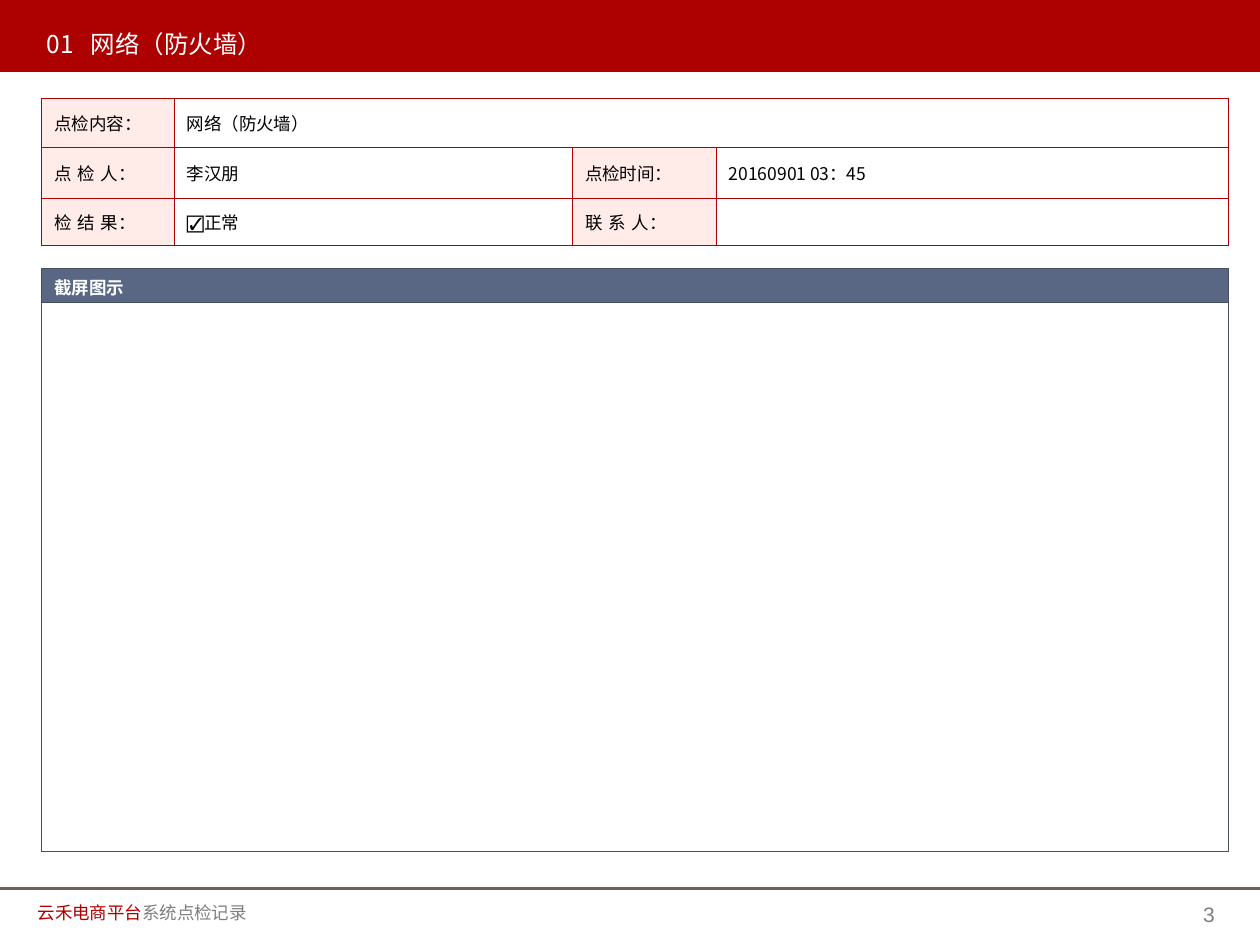
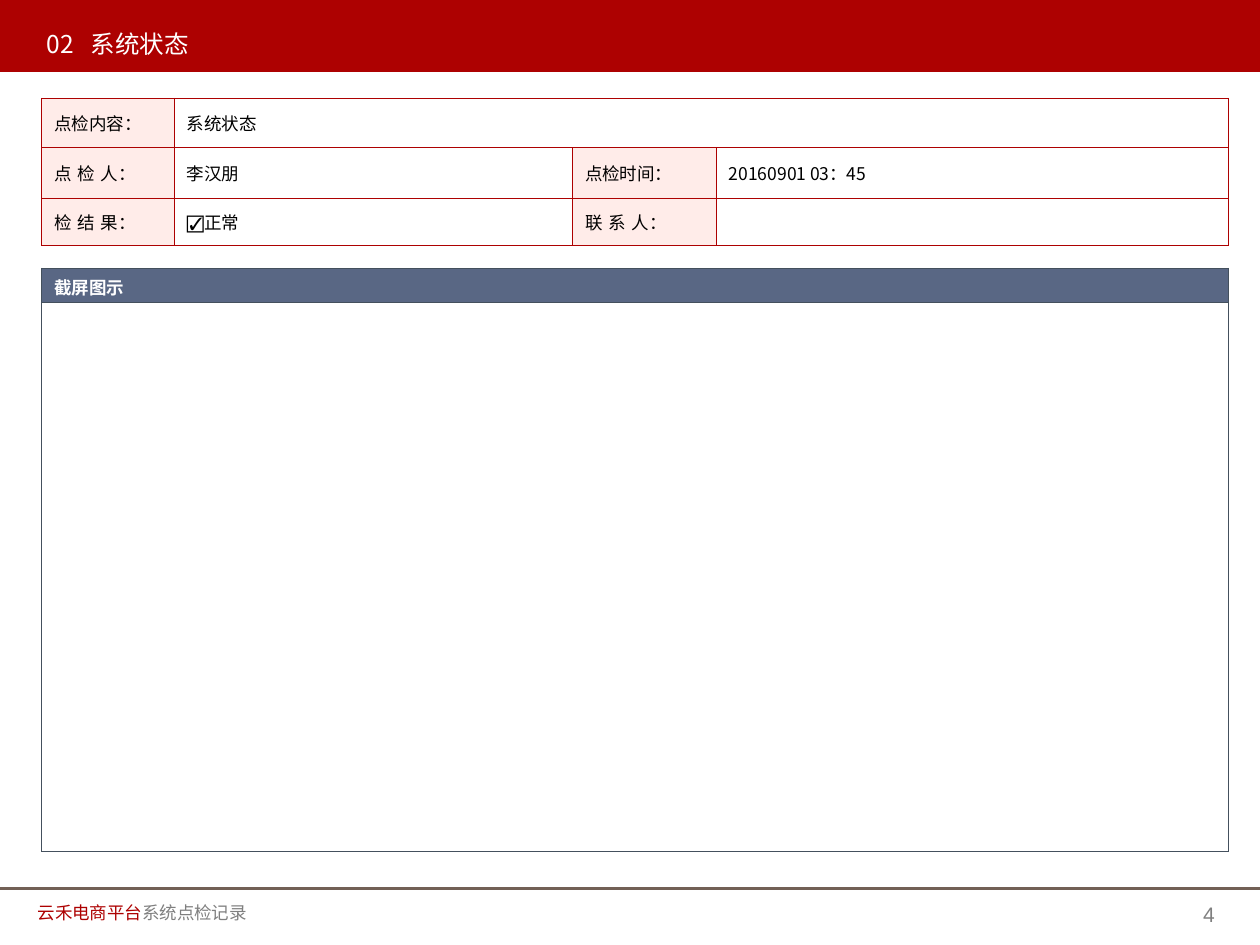
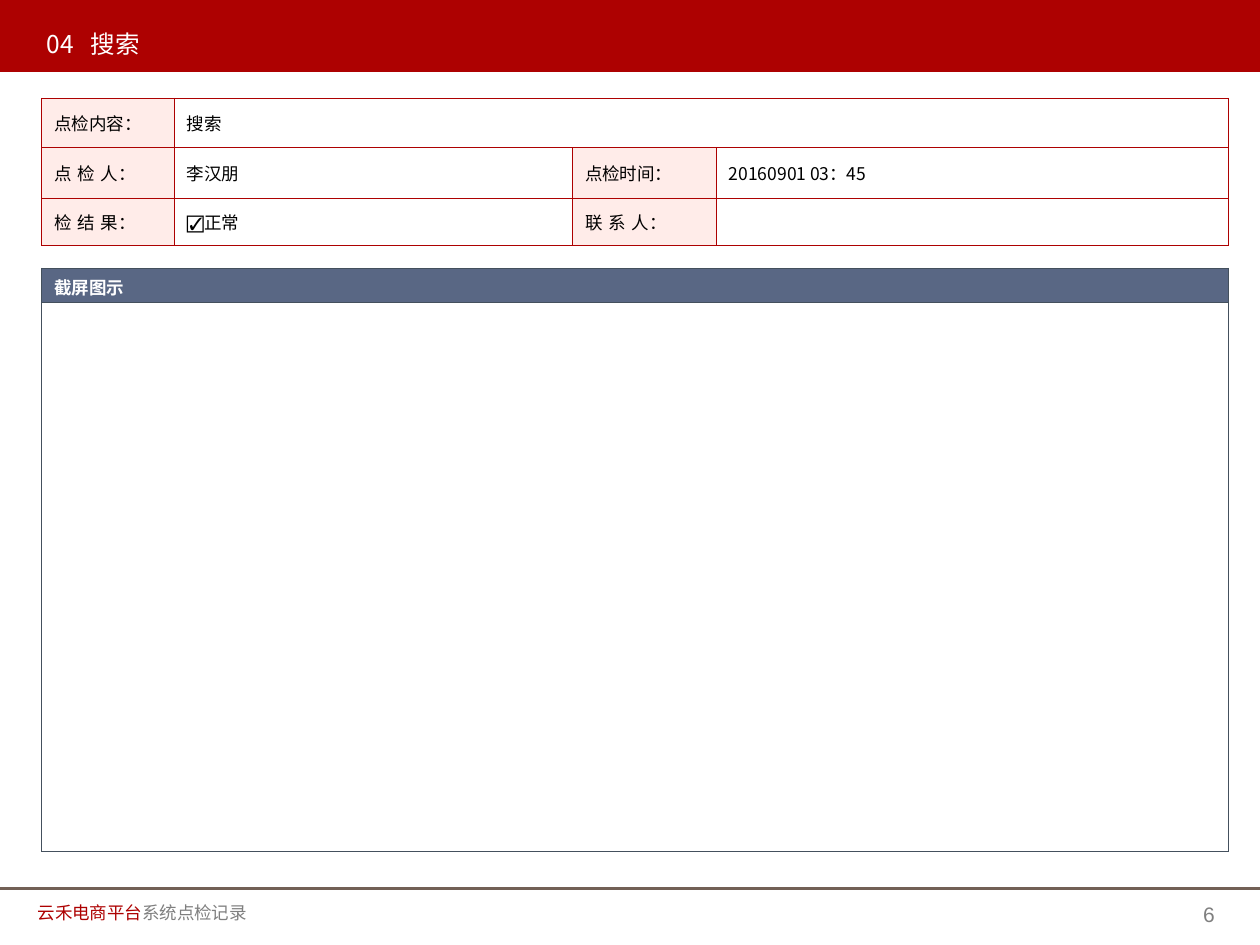
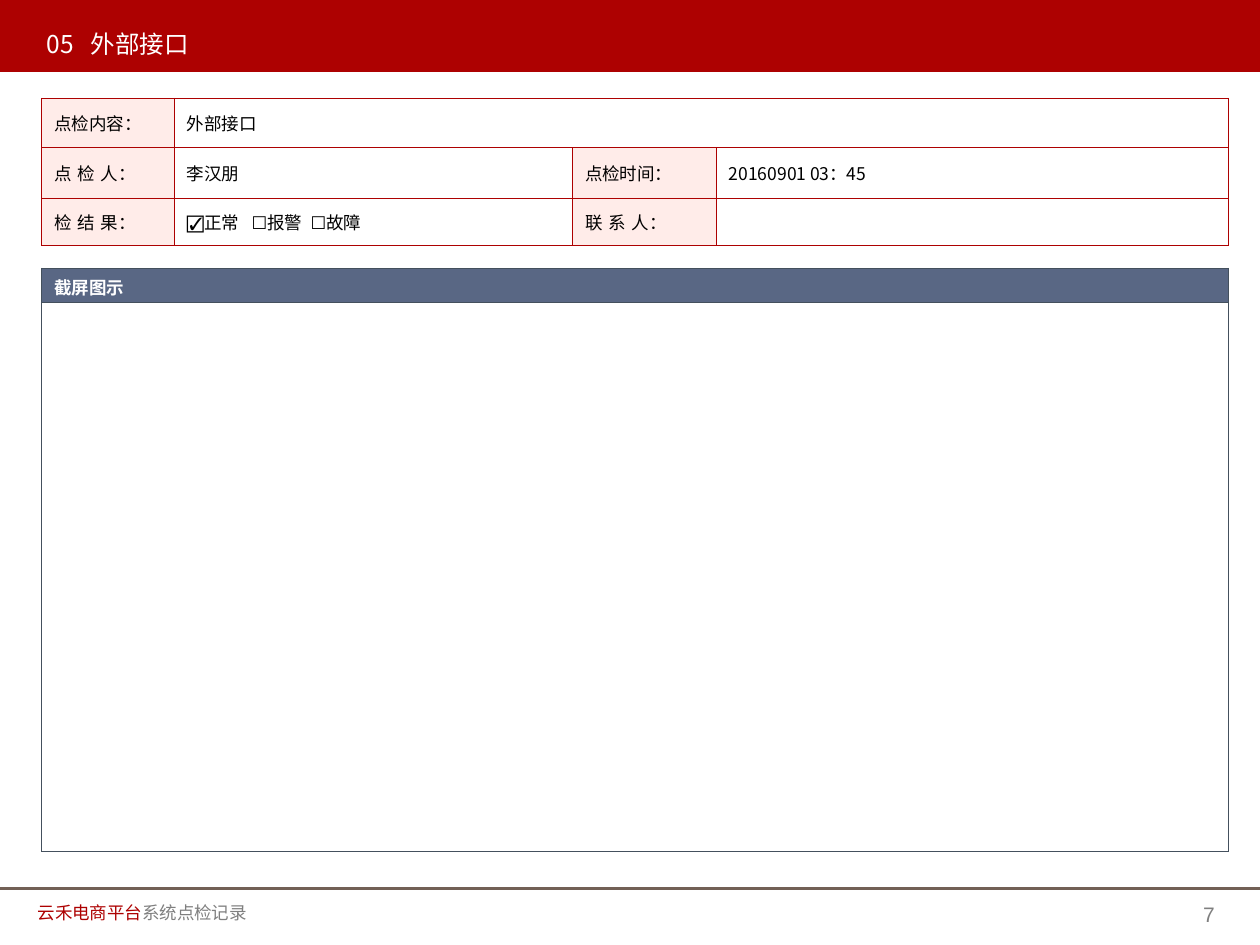
from lxml.etree import SubElement
from pptx import Presentation
from pptx.dml.color import RGBColor
from pptx.enum.shapes import MSO_CONNECTOR, MSO_SHAPE
from pptx.enum.text import MSO_ANCHOR, PP_ALIGN
from pptx.oxml import parse_xml
from pptx.oxml.ns import nsdecls, qn
from pptx.util import Cm, Pt

COLORS = {
    "red": "AD0101",
    "pink": "FFD1CB",
    "slate": "596784",
    "slate_border": "44505D",
    "rule": "726056",
    "gray": "7F7F7F",
    "white": "FFFFFF",
    "black": "000000",
}
FONT = "Noto Sans CJK SC"
NUMBER_FONT = "Arial"
SLIDE_WIDTH, SLIDE_HEIGHT = 25.4, 19.05
BAND_BOX = (0, 0, SLIDE_WIDTH, 1.45)
RECORD_BOX = (0.84, 1.98, 23.93, 2.97)
SCREENSHOT_BOX = (0.84, 5.41, 23.93, 11.75)
FOOTER_BOX = (0, 17.91, SLIDE_WIDTH, 1.14)

RECORD_COLUMNS = (2.67, 8.03, 2.9, 10.33)
RECORD_ROWS = (1, 1.01, 0.96)
LABEL_ALPHA = 41
TITLE_TAB = 0.89
OPTION_TABS = (1.31, 2.5)

# title number, checked item, result, page number
RECORDS = (
    ("01", "网络（防火墙）", "☑正常", "3"),
    ("02", "系统状态", "☑正常", "4"),
    ("04", "搜索", "☑正常", "6"),
    ("05", "外部接口", "☑正常\t☐报警\t☐故障", "7"),
)


def rgb(color):
    return RGBColor.from_string(COLORS[color])


def format_run(run, size, color, font=FONT, bold=False):
    run.font.size = Pt(size)
    run.font.bold = bold
    run.font.color.rgb = rgb(color)
    run.font.name = font
    SubElement(run.font._element, qn("a:ea"), typeface=font)


def set_tabs(paragraph, positions):
    """Add left tab stops, given in centimetres from the text edge."""
    tab_list = SubElement(paragraph._p.get_or_add_pPr(), qn("a:tabLst"))
    for position in positions:
        SubElement(tab_list, qn("a:tab"), pos=str(Cm(position)), algn="l")


def add_text(slide, box, pieces, size, font=FONT, wrap=True):
    """Add a one-line text box from (text, color) pieces; return the shape."""
    shape = slide.shapes.add_textbox(*map(Cm, box))
    shape.text_frame.word_wrap = wrap
    paragraph = shape.text_frame.paragraphs[0]
    for text, color in pieces:
        run = paragraph.add_run()
        run.text = text
        format_run(run, size, color, font)
    return shape


def add_plain_table(slide, box, columns, rows):
    """Add an unbanded table with the given column widths and row heights."""
    frame = slide.shapes.add_table(len(rows), len(columns), *map(Cm, box))
    table = frame.table
    table.first_row = table.horz_banding = False
    for column, width in zip(table.columns, columns):
        column.width = Cm(width)
    for row, height in zip(table.rows, rows):
        row.height = Cm(height)
    return table


def style_cell(cell, fill, border, border_width, text_color="black", bold=False):
    cell.fill.solid()
    cell.fill.fore_color.rgb = rgb(fill)
    properties = cell._tc.get_or_add_tcPr()
    for index, side in enumerate(("lnL", "lnR", "lnT", "lnB")):
        properties.insert(index, parse_xml(
            f'<a:{side} {nsdecls("a")} w="{Pt(border_width)}"><a:solidFill>'
            f'<a:srgbClr val="{COLORS[border]}"/></a:solidFill></a:{side}>'))
    paragraph = cell.text_frame.paragraphs[0]
    for run in paragraph.runs:
        format_run(run, 10, text_color, bold=bold)
    if not paragraph.runs:
        SubElement(paragraph._p, qn("a:endParaRPr"), sz="1000")


def add_title_band(slide, box, number, title):
    left, top, _, _ = box
    band = slide.shapes.add_shape(MSO_SHAPE.RECTANGLE, *map(Cm, box))
    band.shadow.inherit = False
    band.fill.solid()
    band.fill.fore_color.rgb = rgb("red")
    band.line.fill.background()
    heading = add_text(slide, (left + 0.69, top + 0.46, 5, 0.69),
                       [(f"{number}\t{title}", "white")], 14, wrap=False)
    set_tabs(heading.text_frame.paragraphs[0], [TITLE_TAB])


def add_record_table(slide, box, item, result):
    table = add_plain_table(slide, box, RECORD_COLUMNS, RECORD_ROWS)
    texts = (
        ("点检内容：", item, "", ""),
        ("点 检 人：", "李汉朋", "点检时间：", "20160901 03：45"),
        ("检 结 果：", result, "联 系 人：", ""),
    )
    table.cell(0, 1).merge(table.cell(0, 3))
    for row, row_texts in enumerate(texts):
        for column, text in enumerate(row_texts):
            cell = table.cell(row, column)
            cell.text_frame.text = text
            cell.vertical_anchor = MSO_ANCHOR.MIDDLE
            is_label = column % 2 == 0 and not cell.is_spanned
            style_cell(cell, "pink" if is_label else "white", "red", 0.5)
            if is_label:
                fill = cell._tc.tcPr.find(qn("a:solidFill"))
                SubElement(fill[0], qn("a:alpha"), val=str(LABEL_ALPHA * 1000))
            if is_label and " " in text:
                cell.text_frame.paragraphs[0].runs[0].font._element.set("spc", "50")
    if "\t" in result:
        set_tabs(table.cell(2, 1).text_frame.paragraphs[0], OPTION_TABS)


def add_screenshot_table(slide, box):
    _, _, width, height = box
    header_height = 0.69
    table = add_plain_table(slide, box, [width],
                            [header_height, height - header_height])
    header, body = table.cell(0, 0), table.cell(1, 0)
    header.text_frame.text = "截屏图示"
    header.margin_bottom = 0
    style_cell(header, "slate", "slate_border", 0.75, "white", bold=True)
    style_cell(body, "white", "slate_border", 0.75)


def add_footer(slide, box, page):
    left, top, width, _ = box
    rule = slide.shapes.add_connector(
        MSO_CONNECTOR.STRAIGHT, Cm(left), Cm(top), Cm(left + width), Cm(top))
    rule.line.color.rgb = rgb("rule")
    rule.line.width = Pt(1.25)
    SubElement(rule._element.spPr, qn("a:effectLst"))
    add_text(slide, (left + 0.51, top + 0.15, 4.83, 0.69),
             [("云禾电商平台", "red"), ("系统点检记录", "gray")], 10, wrap=False)
    number = add_text(slide, (left + width - 2.77, top, 2.11, 1.02),
                      [(page, "gray")], 12, NUMBER_FONT)
    number.text_frame.vertical_anchor = MSO_ANCHOR.MIDDLE
    number.text_frame.paragraphs[0].alignment = PP_ALIGN.RIGHT


def add_record_slide(presentation, number, item, result, page):
    slide = presentation.slides.add_slide(presentation.slide_layouts[6])
    add_title_band(slide, BAND_BOX, number, item)
    add_record_table(slide, RECORD_BOX, item, result)
    add_screenshot_table(slide, SCREENSHOT_BOX)
    add_footer(slide, FOOTER_BOX, page)


def main():
    presentation = Presentation()
    presentation.slide_width = Cm(SLIDE_WIDTH)
    presentation.slide_height = Cm(SLIDE_HEIGHT)
    for record in RECORDS:
        add_record_slide(presentation, *record)
    presentation.save("out.pptx")


if __name__ == "__main__":
    main()
